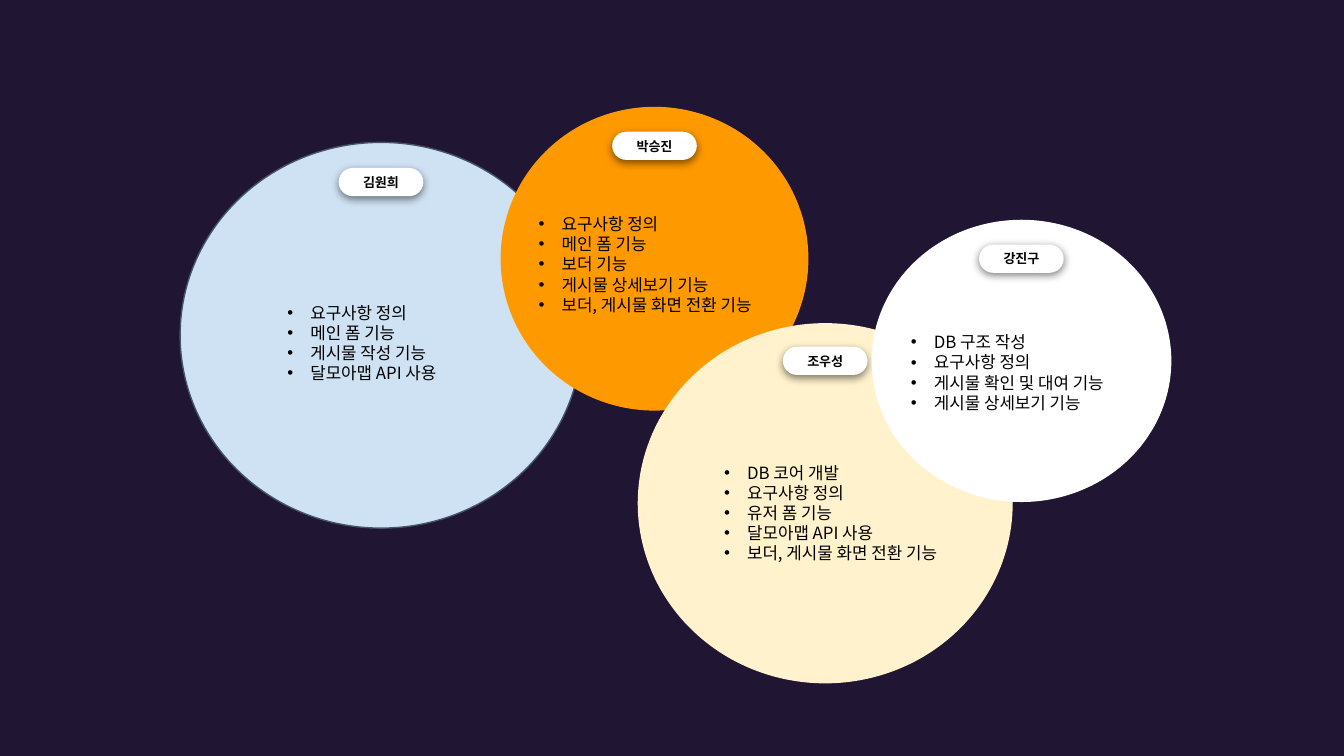
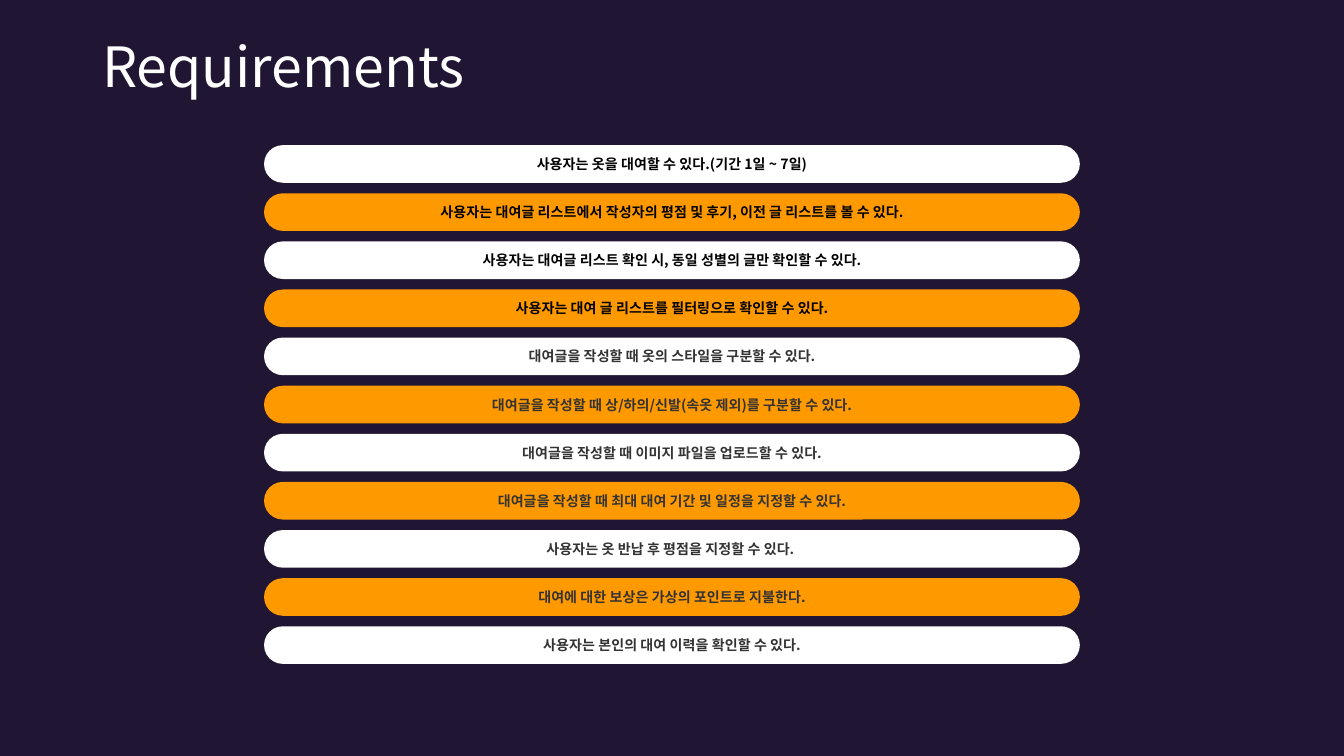
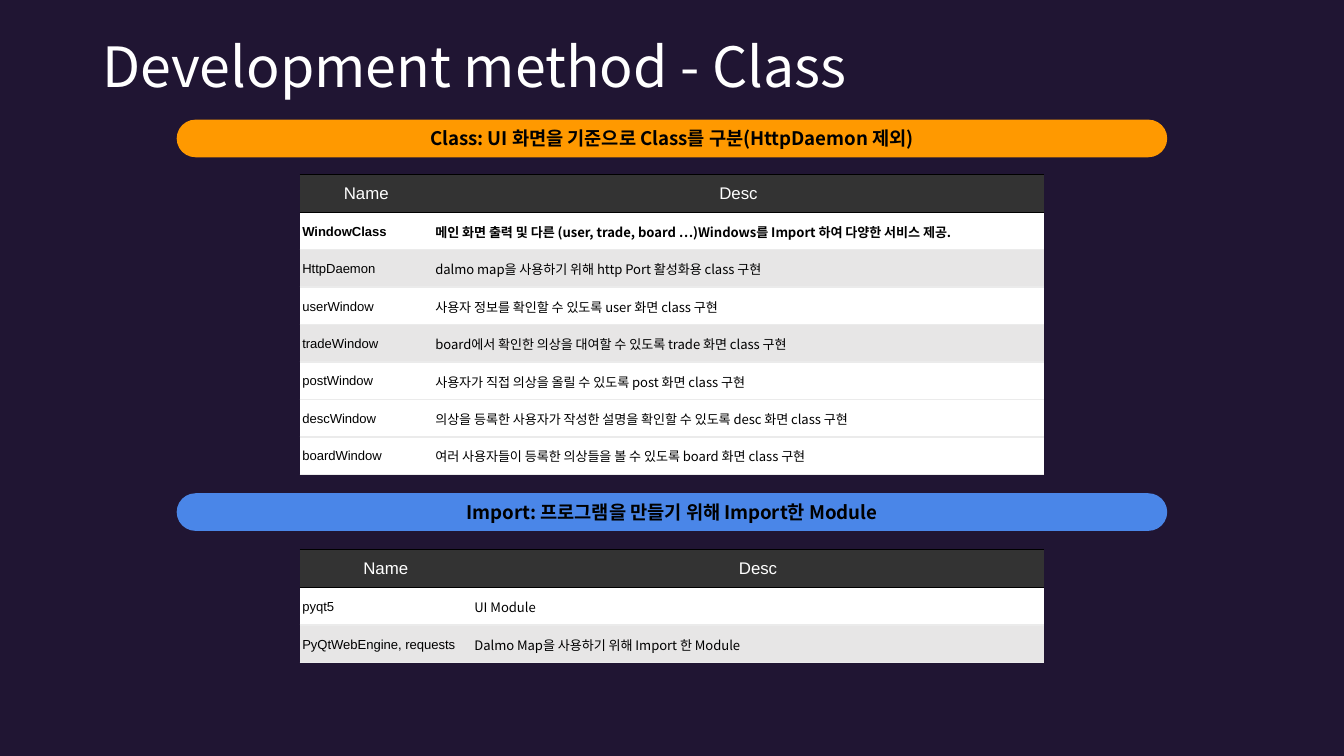
from lxml.etree import SubElement
from pptx import Presentation
from pptx.dml.color import RGBColor
from pptx.enum.shapes import MSO_SHAPE
from pptx.enum.text import MSO_ANCHOR, MSO_AUTO_SIZE, PP_ALIGN
from pptx.oxml.ns import qn
from pptx.util import Inches, Pt

COLORS = {
    "night": "201533", "white": "FFFFFF", "black": "000000", "charcoal": "333333",
    "orange": "FF9900", "blue": "4A86E8", "sky": "CFE2F3", "slate": "44546A",
    "cream": "FFF2CC", "band": "E7E6E6", "rule": "EBEBEB",
}
SANS = "Noto Sans CJK KR"
LATIN = "Arial"
PAGE_WIDTH = 10
PILL_HEIGHT = 0.28

MEMBERS = [
    ("김원희", (1.34, 1.06, 2.99, 2.87), "sky", "slate", 0.19, (0.68, 1.14, 1.71, 0.71),
     ["요구사항 정의", "메인 폼 기능", "게시물 작성 기능", "달모아맵 API 사용"]),
    ("박승진", (3.73, 0.8, 2.28, 2.25), "orange", "orange", 0.18, (0.16, 0.74, 2, 0.86),
     ["요구사항 정의", "메인 폼 기능", "보더 기능", "게시물 상세보기 기능",
      "보더, 게시물 화면 전환 기능"]),
    ("조우성", (4.75, 2.41, 2.78, 2.67), "cream", "cream", 0.17, (0.52, 0.98, 2.02, 0.86),
     ["DB 코어 개발", "요구사항 정의", "유저 폼 기능", "달모아맵 API 사용",
      "보더, 게시물 화면 전환 기능"]),
    ("강진구", (6.49, 1.64, 2.22, 2.09), "white", "white", 0.18, (0.17, 0.78, 1.9, 0.71),
     ["DB 구조 작성", "요구사항 정의", "게시물 확인 및 대여 기능", "게시물 상세보기 기능"]),
]

USER_REQUIREMENTS = [
    "사용자는 옷을 대여할 수 있다.(기간 1일 ~ 7일)",
    "사용자는 대여글 리스트에서 작성자의 평점 및 후기, 이전 글 리스트를 볼 수 있다.",
    "사용자는 대여글 리스트 확인 시, 동일 성별의 글만 확인할 수 있다.",
    "사용자는 대여 글 리스트를 필터링으로 확인할 수 있다.",
]
POST_REQUIREMENTS = [
    "대여글을 작성할 때 옷의 스타일을 구분할 수 있다.",
    "대여글을 작성할 때 상/하의/신발(속옷 제외)를 구분할 수 있다.",
    "대여글을 작성할 때 이미지 파일을 업로드할 수 있다.",
    "대여글을 작성할 때 최대 대여 기간 및 일정을 지정할 수 있다.",
    "사용자는 옷 반납 후 평점을 지정할 수 있다. ",
    "대여에 대한 보상은 가상의 포인트로 지불한다.",
    "사용자는 본인의 대여 이력을 확인할 수 있다.",
]

CLASSES = [
    ("WindowClass", "메인 화면 출력 및 다른 (user, trade, board …)Windows를 Import 하여 다양한 서비스 제공."),
    ("HttpDaemon", "dalmo map을 사용하기 위해 http Port 활성화용 class 구현"),
    ("userWindow", "사용자 정보를 확인할 수 있도록 user 화면 class 구현"),
    ("tradeWindow", "board에서 확인한 의상을 대여할 수 있도록 trade 화면 class 구현"),
    ("postWindow", "사용자가 직접 의상을 올릴 수 있도록 post 화면 class 구현"),
    ("descWindow", "의상을 등록한 사용자가 작성한 설명을 확인할 수 있도록 desc 화면 class 구현"),
    ("boardWindow", "여러 사용자들이 등록한 의상들을 볼 수 있도록 board 화면 class 구현"),
]
MODULES = [
    ("pyqt5", "UI Module"),
    ("PyQtWebEngine, requests", "Dalmo Map을 사용하기 위해 Import 한 Module"),
]


def color(name):
    return RGBColor.from_string(COLORS[name])


def inches(box):
    return [Inches(length) for length in box]


def centered(top, width, height):
    return ((PAGE_WIDTH - width) / 2, top, width, height)


def write(para, text, size=9, font=SANS, ink="black", bold=False, align=None):
    span = para.add_run()
    span.text = text
    span.font.size = Pt(size)
    span.font.name = font
    span.font.bold = bold
    span.font.color.rgb = color(ink)
    span.font._element.set("kern", "0")
    SubElement(span.font._element, qn("a:ea"), typeface=font)
    para.alignment = align


def add_bullet(para):
    properties = para._p.get_or_add_pPr()
    properties.set("marL", str(Inches(0.19)))
    properties.set("indent", str(Inches(-0.17)))
    holder = SubElement(properties, qn("a:buClr"))
    SubElement(holder, qn("a:srgbClr"), val=COLORS["black"])
    SubElement(properties, qn("a:buFont"), typeface=LATIN)
    SubElement(properties, qn("a:buChar"), char="•")


def add_filled(page, kind, box, fill, outline=None):
    shape = page.shapes.add_shape(kind, *inches(box))
    shape.shadow.inherit = False
    shape.fill.solid()
    shape.fill.fore_color.rgb = color(fill)
    if outline:
        shape.line.color.rgb = color(outline)
        shape.line.width = Pt(0.75)
    else:
        shape.line.fill.background()
    return shape


def add_pill(page, box, text, fill="white", **style):
    pill = add_filled(page, MSO_SHAPE.ROUNDED_RECTANGLE, box, fill)
    pill.adjustments[0] = 0.5
    frame = pill.text_frame
    frame.word_wrap = True
    frame.vertical_anchor = MSO_ANCHOR.MIDDLE
    write(frame.paragraphs[0], text, bold=True, align=PP_ALIGN.CENTER, **style)
    return pill


def add_shadow(shape):
    effects = shape._element.spPr.find(qn("a:effectLst"))
    shadow = SubElement(effects, qn("a:outerShdw"), blurRad=str(Pt(4.5)),
                        dist=str(Pt(1.5)), dir="5400000", algn="bl", rotWithShape="0")
    tint = SubElement(shadow, qn("a:srgbClr"), val=COLORS["black"])
    SubElement(tint, qn("a:alpha"), val="50000")


def add_title(page, text):
    title = page.shapes.add_textbox(*inches(centered(0.3, 8.62, 0.43)))
    frame = title.text_frame
    frame.word_wrap = True
    frame.vertical_anchor = MSO_ANCHOR.MIDDLE
    frame.margin_left = frame.margin_right = Inches(0.07)
    frame.margin_top = frame.margin_bottom = Inches(0.04)
    frame.paragraphs[0].line_spacing = 0.9
    write(frame.paragraphs[0], text, size=29.7, ink="white")


def add_task_list(page, box, tasks):
    frame = page.shapes.add_textbox(*inches(box)).text_frame
    frame.word_wrap = True
    frame.auto_size = MSO_AUTO_SIZE.SHAPE_TO_FIT_TEXT
    for index, task in enumerate(tasks):
        para = frame.add_paragraph() if index else frame.paragraphs[0]
        add_bullet(para)
        write(para, task)


def add_member(page, name, box, fill, outline, label_drop, list_box, tasks):
    left, top, width, height = box
    add_filled(page, MSO_SHAPE.OVAL, box, fill, outline)
    label_width = 0.63
    label_box = (left + (width - label_width) / 2, top + label_drop, label_width, 0.21)
    add_shadow(add_pill(page, label_box, name, size=7, font=LATIN))
    list_left, list_top, list_width, list_height = list_box
    add_task_list(page, (left + list_left, top + list_top, list_width, list_height), tasks)


def add_requirements(page, box):
    left, top, width, height = box
    requirements = USER_REQUIREMENTS + POST_REQUIREMENTS
    step = (height - PILL_HEIGHT) / (len(requirements) - 1)
    for index, text in enumerate(requirements):
        add_pill(page, (left, top + index * step, width, PILL_HEIGHT), text,
                 fill="orange" if index % 2 else "white", size=7.5,
                 ink="black" if index < len(USER_REQUIREMENTS) else "charcoal")


def set_borders(cell, top, bottom):
    properties = cell._tc.get_or_add_tcPr()
    sides = (("a:lnL", None), ("a:lnR", None), ("a:lnT", top), ("a:lnB", bottom))
    for position, (side, ink) in enumerate(sides):
        line = SubElement(properties, qn(side), w=str(Pt(0.75)))
        if ink:
            SubElement(SubElement(line, qn("a:solidFill")), qn("a:srgbClr"), val=COLORS[ink])
        else:
            SubElement(line, qn("a:noFill"))
        properties.insert(position, line)


def add_description_table(page, box, name_width, entries, banded, bold_rows=()):
    left, top, width, height = box
    rows = [("Name", "Desc"), *entries]
    table = page.shapes.add_table(len(rows), 2, *inches(box)).table
    for column, column_width in zip(table.columns, (name_width, width - name_width)):
        column.width = Inches(column_width)
    for row_index, row in enumerate(rows):
        table.rows[row_index].height = Inches(height / len(rows))
        header = row_index == 0
        fill = "charcoal" if header else "band" if row_index in banded else "white"
        for column_index, text in enumerate(row):
            cell = table.cell(row_index, column_index)
            cell.fill.solid()
            cell.fill.fore_color.rgb = color(fill)
            cell.vertical_anchor = MSO_ANCHOR.MIDDLE
            cell.margin_left = cell.margin_right = cell.margin_top = Inches(0.02)
            cell.margin_bottom = Inches(0.01)
            set_borders(cell, "black" if row_index < 2 else "rule",
                        "black" if header else "rule")
            para = cell.text_frame.paragraphs[0]
            if header:
                write(para, text, font=LATIN, ink="white", align=PP_ALIGN.CENTER)
            else:
                write(para, text, size=7, font=SANS if column_index else LATIN,
                      bold=row_index in bold_rows)


def add_section(page, top, heading, fill, table_drop, table_height, **table_options):
    add_pill(page, centered(top, 7.37, PILL_HEIGHT), heading, fill=fill, size=10)
    add_description_table(page, centered(top + table_drop, 5.54, table_height),
                          **table_options)


def add_page(deck, title=None):
    page = deck.slides.add_slide(deck.slide_layouts[6])
    page.background.fill.solid()
    page.background.fill.fore_color.rgb = color("night")
    if title:
        add_title(page, title)
    return page


def main():
    deck = Presentation()
    deck.slide_width = Inches(PAGE_WIDTH)
    deck.slide_height = Inches(PAGE_WIDTH * 9 / 16)

    team = add_page(deck)
    for member in MEMBERS:
        add_member(team, *member)

    requirements = add_page(deck, "Requirements")
    add_requirements(requirements, centered(1.08, 6.07, 3.86))

    method = add_page(deck, "Development method - Class")
    add_section(method, 0.89, "Class: UI 화면을 기준으로 Class를 구분(HttpDaemon 제외)", "orange",
                0.41, 2.23, name_width=0.99, entries=CLASSES, banded={2, 4}, bold_rows={1})
    add_section(method, 3.67, "Import: 프로그램을 만들기 위해 Import한 Module", "blue",
                0.42, 0.84, name_width=1.28, entries=MODULES, banded={2})

    deck.save("out.pptx")


if __name__ == "__main__":
    main()
